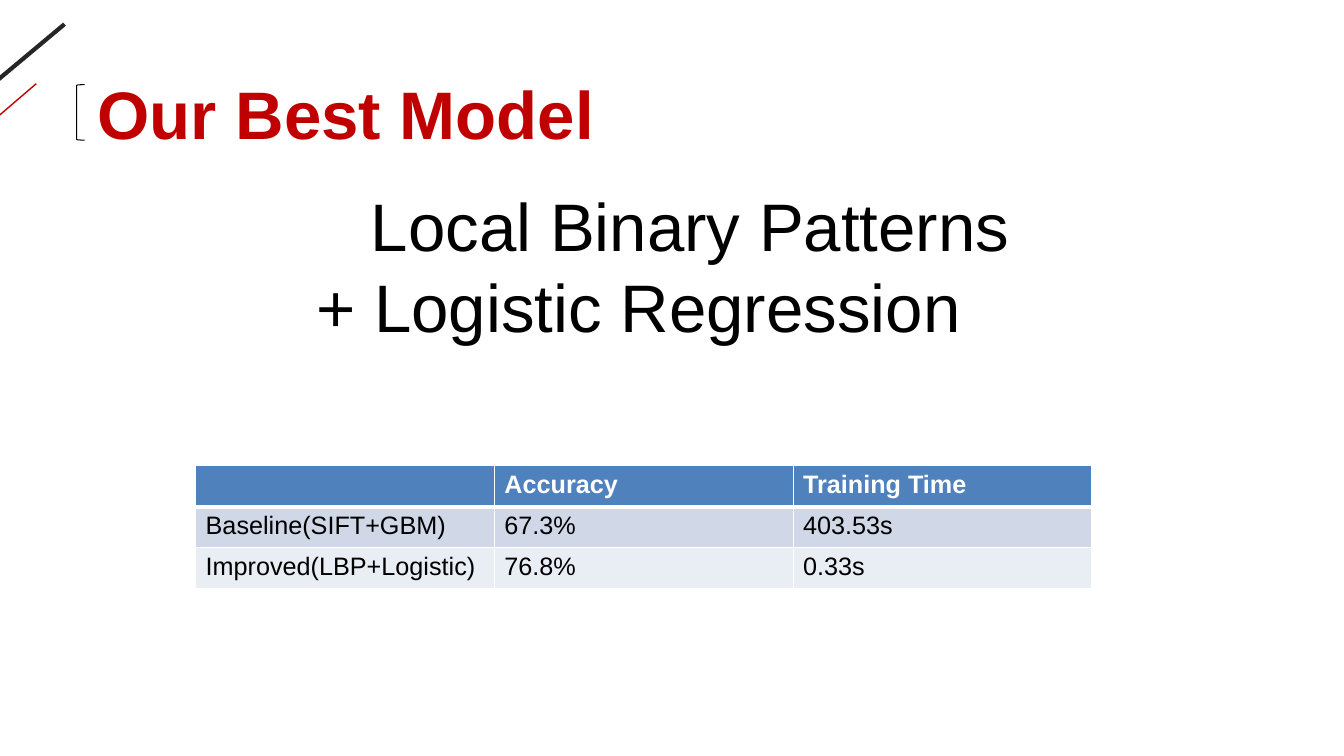
from dataclasses import dataclass

from lxml.etree import SubElement
from pptx import Presentation
from pptx.dml.color import RGBColor
from pptx.enum.shapes import MSO_CONNECTOR, MSO_SHAPE
from pptx.enum.text import MSO_AUTO_SIZE
from pptx.oxml.ns import qn
from pptx.util import Inches, Pt


@dataclass(frozen=True)
class Theme:
    font: str = "Arial"
    red: str = "C00000"
    dark: str = "262626"
    black: str = "000000"
    white: str = "FFFFFF"
    header: str = "4F81BD"
    bands: tuple = ("D0D8E8", "E9EDF4")
    large: int = 48
    table: int = 18


THEME = Theme()
RESULTS = [
    ("", "Accuracy", "Training Time"),
    ("Baseline(SIFT+GBM)", "67.3%", "403.53s"),
    ("Improved(LBP+Logistic)", "76.8%", "0.33s"),
]


def style(paragraph, size, color, bold=False):
    font = paragraph.font
    font.name, font.size, font.bold = THEME.font, Pt(size), bold
    font.color.rgb = RGBColor.from_string(color)


def add_line(slide, start, end, color, width):
    line = slide.shapes.add_connector(
        MSO_CONNECTOR.STRAIGHT, *map(Inches, start + end))
    line.line.color.rgb = RGBColor.from_string(color)
    line.line.width = Pt(width)
    SubElement(line._element.spPr, qn("a:effectLst"))


def add_text(slide, box, lines, color, bold=False, wrap=True):
    shape = slide.shapes.add_textbox(*map(Inches, box))
    frame = shape.text_frame
    frame.word_wrap = wrap
    frame.auto_size = MSO_AUTO_SIZE.SHAPE_TO_FIT_TEXT
    frame.text = "\n".join(lines)
    for paragraph in frame.paragraphs:
        style(paragraph, THEME.large, color, bold)
    return frame


def add_heading(slide, left, top, width, height):
    # Corner strokes
    add_line(slide, (0.64, 0.24), (-0.21, 0.95), THEME.dark, 3)
    add_line(slide, (0.36, 0.83), (-0.06, 1.19), THEME.red, 1)

    # Bracket and title
    bracket = slide.shapes.add_shape(
        MSO_SHAPE.LEFT_BRACKET, Inches(left - 0.11), Inches(top + 0.17),
        Inches(0.08), Inches(0.55))
    bracket.shadow.inherit = False
    bracket.fill.background()
    bracket.line.color.rgb = RGBColor.from_string(THEME.black)
    bracket.line.width = Pt(0.75)
    add_text(slide, (left, top, width, height), ["Our Best Model"],
             THEME.red, bold=True, wrap=False)


def add_model(slide, left, top, width, height):
    frame = add_text(slide, (left, top, width, height),
                     ["Local Binary Patterns", "+ Logistic Regression"], THEME.black)
    # Align the first name with the one after the plus sign
    properties = frame.paragraphs[0]._p.get_or_add_pPr()
    properties.set("marL", str(Inches(0.54)))
    properties.set("indent", "0")


def set_borders(cell, widths):
    properties = cell._tc.get_or_add_tcPr()
    for position, (side, width) in enumerate(widths.items()):
        border = SubElement(properties, qn(f"a:{side}"), w=str(Pt(width)))
        fill = SubElement(border, qn("a:solidFill"))
        SubElement(fill, qn("a:srgbClr"), val=THEME.white)
        properties.insert(position, border)


def add_results(slide, left, top, width, height):
    rows, columns = len(RESULTS), len(RESULTS[0])
    table = slide.shapes.add_table(
        rows, columns, *map(Inches, (left, top, width, height))).table
    for column in table.columns:
        column.width = Inches(width / columns)
    for row_index, values in enumerate(RESULTS):
        table.rows[row_index].height = Inches(height / rows)
        is_header = row_index == 0
        fill = THEME.header if is_header else THEME.bands[(row_index - 1) % 2]
        color = THEME.white if is_header else THEME.black
        for column_index, value in enumerate(values):
            cell = table.cell(row_index, column_index)
            cell.text = value
            style(cell.text_frame.paragraphs[0], THEME.table, color, is_header)
            cell.fill.solid()
            cell.fill.fore_color.rgb = RGBColor.from_string(fill)
            # A heavier rule separates the header
            set_borders(cell, {"lnL": 1, "lnR": 1,
                               "lnT": 3 if row_index == 1 else 1,
                               "lnB": 3 if is_header else 1})


def main():
    presentation = Presentation()
    presentation.slide_width = Inches(13.33)
    presentation.slide_height = Inches(7.5)
    slide = presentation.slides.add_slide(presentation.slide_layouts[6])
    add_heading(slide, 0.87, 0.67, 5.18, 0.91)
    add_model(slide, 3.04, 1.78, 7.17, 1.72)
    add_results(slide, 1.94, 4.62, 8.89, 1.22)
    presentation.save("out.pptx")


if __name__ == "__main__":
    main()
